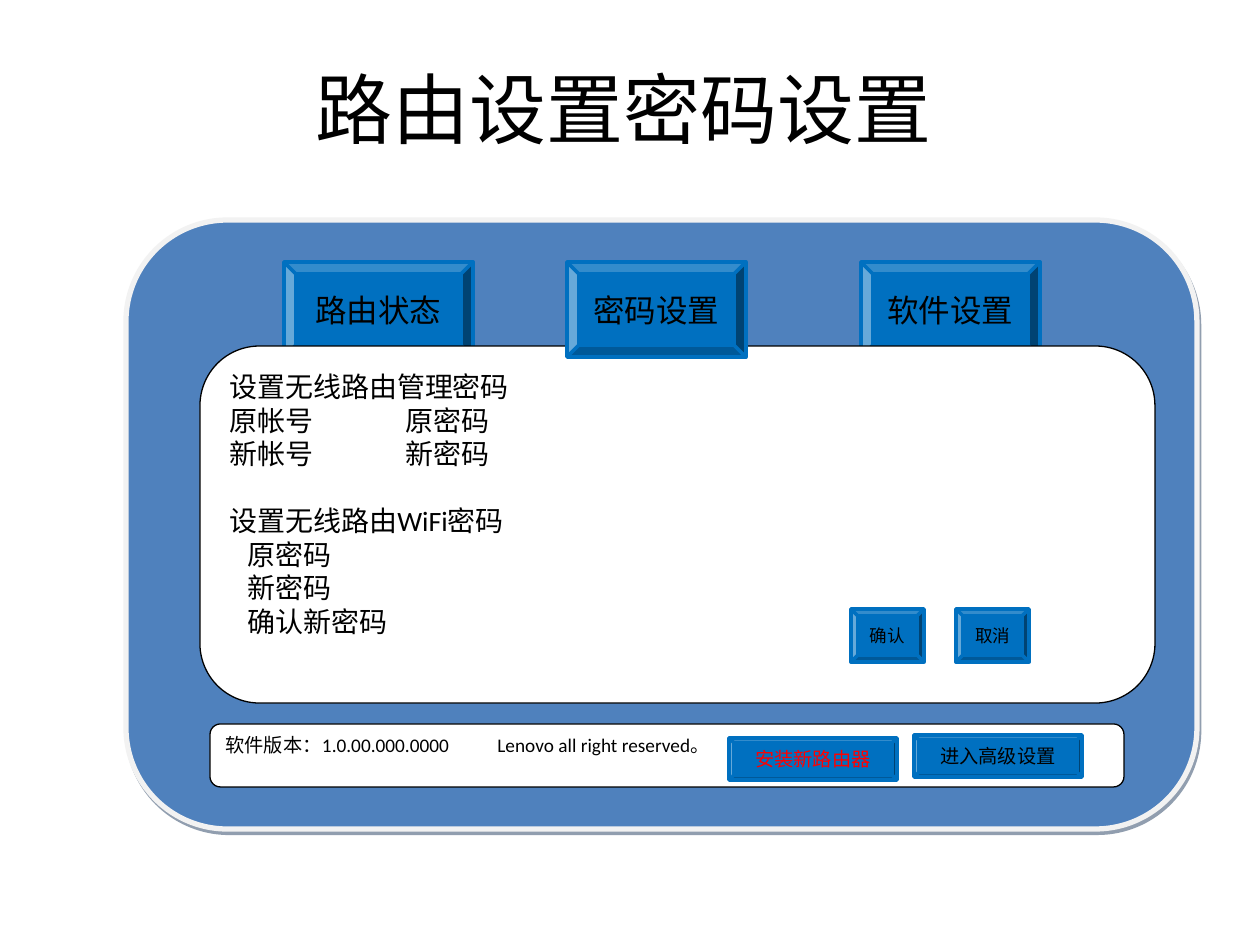
from dataclasses import dataclass

import lxml.etree
import pptx
import pptx.dml.color
import pptx.enum.shapes
import pptx.enum.text
import pptx.oxml.ns
import pptx.util

PX = 914400 / 126
SHAPES = pptx.enum.shapes.MSO_SHAPE
ALIGN = pptx.enum.text.PP_ALIGN
ANCHOR = pptx.enum.text.MSO_ANCHOR


@dataclass(frozen=True)
class Theme:
    """Colours and type sizes of the slide."""
    font: str = "Calibri"
    ink: str = "000000"
    paper: str = "FFFFFF"
    alert: str = "FF0000"
    frame: str = "4F81BD"
    rim: str = "F2F2F2"
    shade: str = "243F60"
    button: str = "0070C0"
    title: int = 44
    tab: int = 18
    body: int = 16
    footer: int = 11
    small: int = 10


THEME = Theme()


def emu(pixels):
    """Turn px into EMU."""
    return pptx.util.Emu(round(pixels * PX))


def rgb(colour):
    """Return a colour object for a hex string."""
    return pptx.dml.color.RGBColor.from_string(colour)


def add_element(parent, tag, **attributes):
    """Append a drawing element with the given attributes."""
    element = lxml.etree.SubElement(parent, pptx.oxml.ns.qn(tag))
    for name, value in attributes.items():
        element.set(name, str(value))
    return element


def style(para, size, colour=THEME.ink, align=ALIGN.LEFT):
    """Set the alignment and font of a paragraph."""
    para.alignment = align
    para.font.name = THEME.font
    para.font.size = pptx.util.Pt(size)
    para.font.color.rgb = rgb(colour)


def add_tab_stop(para, position):
    """Give a paragraph one left tab stop."""
    stops = add_element(para._p.get_or_add_pPr(), "a:tabLst")
    add_element(stops, "a:tab", pos=emu(position), algn="l")


def add_block(page, kind, place, fill, line, width):
    """Add a filled and outlined preset shape."""
    shape = page.shapes.add_shape(kind, *map(emu, place))
    shape.shadow.inherit = False
    shape.fill.solid()
    shape.fill.fore_color.rgb = rgb(fill)
    shape.line.color.rgb = rgb(line)
    shape.line.width = pptx.util.Pt(width)
    return shape


def add_title(page, text):
    """Add the centred slide title."""
    box = page.shapes.add_textbox(*map(emu, (63, 60, 1121, 96)))
    frame = box.text_frame
    frame.word_wrap = True
    frame.vertical_anchor = ANCHOR.MIDDLE
    frame.text = text
    style(frame.paragraphs[0], THEME.title, align=ALIGN.CENTER)


def add_frame(page):
    """Add the rounded backdrop with its drop shadow."""
    shape = add_block(page, SHAPES.FLOWCHART_ALTERNATE_PROCESS,
                      (126, 220, 1071, 609), THEME.frame, THEME.rim, 3)
    effects = shape._element.spPr.find(pptx.oxml.ns.qn("a:effectLst"))
    shadow = add_element(effects, "a:outerShdw", blurRad=0, dist=pptx.util.Pt(2.2),
                         dir=63 * 60000, algn="ctr", rotWithShape=0)
    colour = add_element(shadow, "a:srgbClr", val=THEME.shade)
    add_element(colour, "a:alpha", val=50000)


def add_button(page, text, place, size, colour=THEME.ink):
    """Add a bevelled button with a centred label."""
    shape = add_block(page, SHAPES.BEVEL, place, THEME.button, THEME.button, 2)
    frame = shape.text_frame
    frame.margin_left = frame.margin_right = 0
    frame.margin_top = frame.margin_bottom = 0
    frame.vertical_anchor = ANCHOR.MIDDLE
    frame.text = text
    style(frame.paragraphs[0], size, colour, ALIGN.CENTER)


def add_panel(page, place, lines, size, tab_position):
    """Add a white panel of (text, indent, space before) lines."""
    shape = add_block(page, SHAPES.FLOWCHART_ALTERNATE_PROCESS, place,
                      THEME.paper, THEME.ink, 0.75)
    frame = shape.text_frame
    frame.word_wrap = True
    frame.vertical_anchor = ANCHOR.TOP
    for index, (text, indent, space) in enumerate(lines):
        para = frame.paragraphs[0] if index == 0 else frame.add_paragraph()
        para.text = text
        if indent:
            para._p.get_or_add_pPr().set("marL", str(emu(indent)))
        if "\t" in text:
            add_tab_stop(para, tab_position)
        if space:
            para.space_before = pptx.util.Pt(space)
        style(para, size)


def main():
    """Build the router password page."""
    deck = pptx.Presentation()
    deck.slide_width, deck.slide_height = emu(1260), emu(945)
    page = deck.slides.add_slide(deck.slide_layouts[6])

    add_title(page, "路由设置密码设置")
    add_frame(page)
    add_button(page, "软件设置", (861, 262, 179, 95), THEME.tab)
    add_button(page, "路由状态", (284, 262, 189, 95), THEME.tab)
    add_panel(page, (200, 346, 955, 357), [
        ("设置无线路由管理密码", 0, 0),
        ("原帐号\t原密码", 0, 0),
        ("新帐号\t新密码", 0, 0),
        ("设置无线路由WiFi密码", 0, 19),
        ("原密码", 18, 0),
        ("新密码", 18, 0),
        ("确认新密码", 18, 0),
    ], THEME.body, 176)
    add_panel(page, (210, 724, 914, 63), [
        ("软件版本：1.0.00.000.0000\tLenovo all right reserved。", 0, 0),
    ], THEME.footer, 272)
    add_button(page, "密码设置", (567, 262, 179, 95), THEME.tab)
    for column, text in enumerate(("确认", "取消")):
        add_button(page, text, (851 + 105 * column, 609, 73, 53), THEME.small)
    add_button(page, "进入高级设置", (914, 735, 168, 42), THEME.footer)
    add_button(page, "安装新路由器", (729, 738, 168, 42), THEME.footer, THEME.alert)

    deck.save("out.pptx")


if __name__ == "__main__":
    main()
